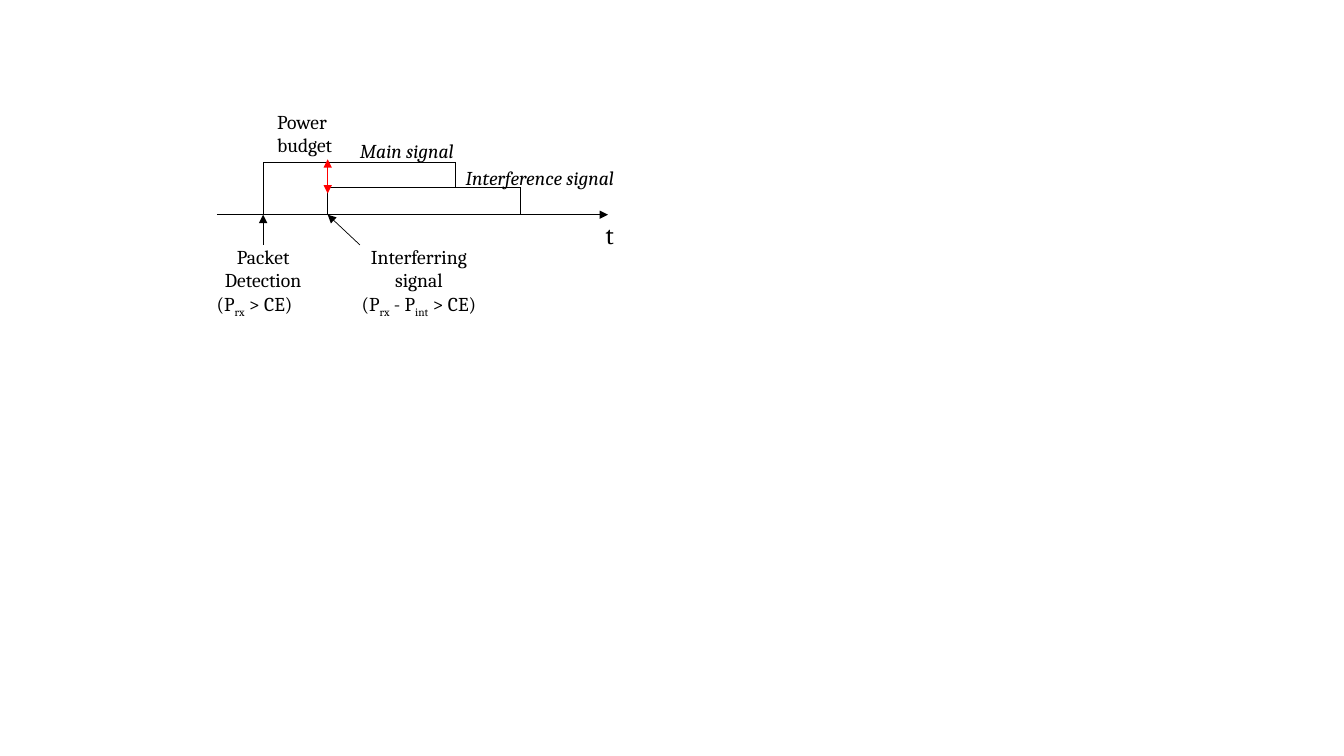
from dataclasses import dataclass

from lxml.etree import SubElement
from pptx import Presentation
from pptx.dml.color import RGBColor
from pptx.enum.shapes import MSO_CONNECTOR
from pptx.enum.text import MSO_AUTO_SIZE, PP_ALIGN
from pptx.oxml.ns import qn
from pptx.slide import Slide
from pptx.util import Inches, Pt


@dataclass(frozen=True)
class Theme:
    font: str = "Cambria"
    ink: RGBColor = RGBColor(0, 0, 0)
    accent: RGBColor = RGBColor(0xFF, 0, 0)
    label_size: float = 14
    axis_size: float = 18
    line_width: float = 0.5


@dataclass(frozen=True)
class Line:
    x1: float
    y1: float
    x2: float
    y2: float
    color: RGBColor
    head: bool = False
    tail: bool = False


THEME = Theme()
LEFT, CENTER = PP_ALIGN.LEFT, PP_ALIGN.CENTER

MAIN_START, MAIN_END, MAIN_TOP = 2.61, 4.52, 1.61
INT_START, INT_END, INT_TOP = 3.25, 5.16, 1.86
AXIS_Y, POINTER_Y = 2.13, 2.43

LINES = [
    Line(MAIN_START, MAIN_TOP, MAIN_END, MAIN_TOP, THEME.ink),
    Line(INT_START, INT_TOP, INT_END, INT_TOP, THEME.ink),
    Line(MAIN_START, MAIN_TOP, MAIN_START, AXIS_Y, THEME.ink),
    Line(MAIN_END, MAIN_TOP, MAIN_END, INT_TOP, THEME.ink),
    Line(INT_START, INT_TOP, INT_START, AXIS_Y, THEME.ink),
    Line(2.15, AXIS_Y, 6.03, AXIS_Y, THEME.ink, tail=True),
    Line(INT_END, INT_TOP, INT_END, AXIS_Y, THEME.ink),
    Line(INT_START, 1.92, INT_START, 1.58, THEME.accent, head=True, tail=True),
    Line(MAIN_START, POINTER_Y, MAIN_START, AXIS_Y, THEME.ink, tail=True),
    Line(3.57, POINTER_Y, INT_START, AXIS_Y, THEME.ink, tail=True),
]


def add_line(slide: Slide, line: Line) -> None:
    ends = [Inches(v) for v in (line.x1, line.y1, line.x2, line.y2)]
    sp = slide.shapes.add_connector(MSO_CONNECTOR.STRAIGHT, *ends)
    sp.line.color.rgb = line.color
    sp.line.width = Pt(THEME.line_width)
    ln = sp.line._get_or_add_ln()
    for tag, shown in (("a:headEnd", line.head), ("a:tailEnd", line.tail)):
        if shown:
            SubElement(ln, qn(tag), type="triangle")
    SubElement(sp._element.spPr, qn("a:effectLst"))


def add_text(slide: Slide, text: str, *, left: float, top: float,
             width: float, height: float, size: float = THEME.label_size,
             italic: bool = False,
             aligns: tuple[PP_ALIGN, ...] = (LEFT, LEFT)) -> None:
    sp = slide.shapes.add_textbox(
        Inches(left), Inches(top), Inches(width), Inches(height))
    tf = sp.text_frame
    tf.word_wrap = True
    tf.auto_size = MSO_AUTO_SIZE.SHAPE_TO_FIT_TEXT
    for i, (content, align) in enumerate(zip(text.split("\n"), aligns)):
        p = tf.add_paragraph() if i else tf.paragraphs[0]
        p.alignment = align
        for j, part in enumerate(content.split("_")):
            r = p.add_run()
            r.text = part
            r.font.name = THEME.font
            r.font.size = Pt(size)
            r.font.italic = italic
            r.font.color.rgb = THEME.ink
            if j % 2:
                r.font._element.set("baseline", "-25000")


def main() -> None:
    prs = Presentation()
    prs.slide_width, prs.slide_height = Inches(13.33), Inches(7.5)
    slide = prs.slides.add_slide(prs.slide_layouts[6])
    for line in LINES:
        add_line(slide, line)
    add_text(slide, "t", left=5.91, top=AXIS_Y, width=0.66, height=0.4,
             size=THEME.axis_size)
    add_text(slide, "Main signal", left=3.47, top=1.33, width=1.69,
             height=0.34, italic=True)
    add_text(slide, "Interference signal", left=MAIN_END, top=1.6, width=1.69,
             height=0.34, italic=True)
    add_text(slide, "Power\nbudget", left=2.65, top=1.04, width=0.82,
             height=0.57)
    add_text(slide, "Packet Detection\n(P_rx_ > CE)", left=2.05, top=2.38,
             width=1.12, height=0.81, aligns=(CENTER, LEFT))
    add_text(slide, "Interferring signal\n(P_rx_ - P_int_ > CE)", left=3.33,
             top=2.38, width=1.65, height=0.81, aligns=(CENTER, CENTER))
    prs.save("out.pptx")


if __name__ == "__main__":
    main()
